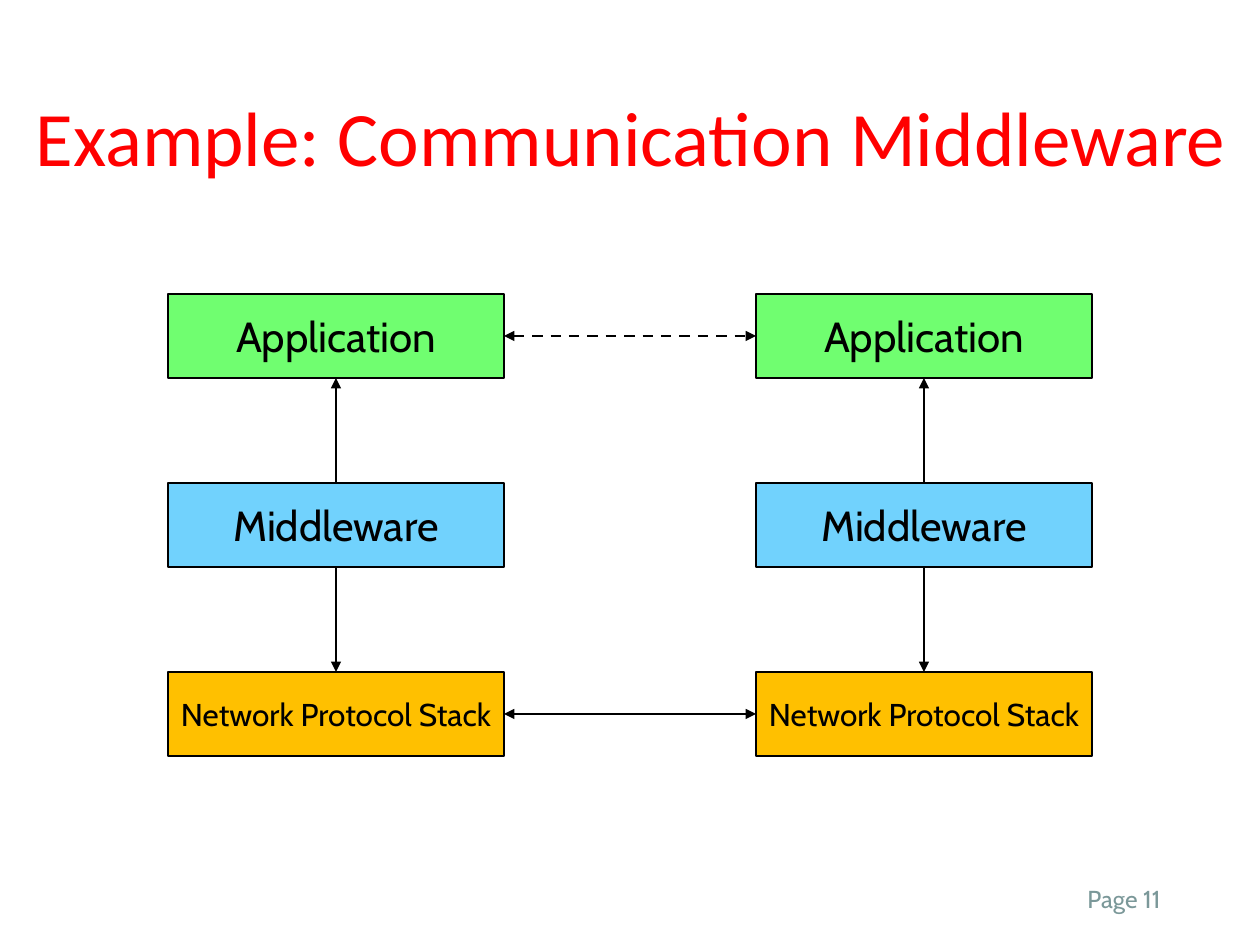
import pptx
import pptx.util
import pptx.dml.color
import pptx.enum.dml
import pptx.enum.shapes
import pptx.enum.text
import pptx.oxml.ns
from dataclasses import dataclass
from lxml import etree

PX_PER_INCH = 126
TOP, LEFT, BOTTOM, RIGHT = range(4)  # connection sites of a rectangle


@dataclass(frozen=True)
class Theme:
    title_font: str = "Calibri"
    body_font: str = "Cabin"
    title_color: str = "FF0000"
    page_color: str = "7B9899"
    ink: str = "000000"
    application: str = "70FE70"
    middleware: str = "71D2FD"
    network: str = "FFC000"
    title_size: int = 44
    label_size: int = 24
    small_label_size: int = 18
    page_size: int = 14
    thin: float = 0.75
    thick: float = 1.5


THEME = Theme()

# Box grid
COLUMNS = (168, 756)
FIRST_ROW, ROW_STEP = 294, 189
BOX_W, BOX_H = 336, 84


def px(n):
    return round(n * pptx.util.Inches(1) / PX_PER_INCH)


def rgb(value):
    return pptx.dml.color.RGBColor.from_string(value)


def place(shape, left, top, width, height):
    shape.left, shape.top = px(left), px(top)
    shape.width, shape.height = px(width), px(height)


def write(shape, text, font, size, color, align, wrap=True, spacing=None):
    tf = shape.text_frame
    tf.word_wrap = wrap
    tf.auto_size = pptx.enum.text.MSO_AUTO_SIZE.NONE
    tf.vertical_anchor = pptx.enum.text.MSO_ANCHOR.MIDDLE
    p = tf.paragraphs[0]
    p.text = text
    p.alignment = align
    p.line_spacing = spacing
    p.font.name, p.font.size = font, pptx.util.Pt(size)
    p.font.color.rgb = rgb(color)


def add_title(s, text):
    title = s.shapes.title
    place(title, 23, 50, 1217, 183)
    write(title, text, THEME.title_font, THEME.title_size, THEME.title_color,
          pptx.enum.text.PP_ALIGN.LEFT, spacing=0.9)


def add_page_label(s, text):
    box = s.shapes.add_textbox(px(890), px(876), px(283), px(50))
    write(box, text, THEME.body_font, THEME.page_size, THEME.page_color,
          pptx.enum.text.PP_ALIGN.RIGHT, spacing=0.8)


def add_layer(s, row, text, fill, size):
    """Add one box per column and return them from left to right."""
    boxes = []
    for left in COLUMNS:
        sp = s.shapes.add_shape(
            pptx.enum.shapes.MSO_SHAPE.RECTANGLE, px(left),
            px(FIRST_ROW + row * ROW_STEP), px(BOX_W), px(BOX_H))
        sp.shadow.inherit = False
        sp.fill.solid()
        sp.fill.fore_color.rgb = rgb(fill)
        sp.line.color.rgb = rgb(THEME.ink)
        sp.line.width = pptx.util.Pt(THEME.thin)
        write(sp, text, THEME.body_font, size, THEME.ink,
              pptx.enum.text.PP_ALIGN.CENTER, wrap=False)
        boxes.append(sp)
    return boxes


def add_arrow(s, start, start_site, end, end_site, width=THEME.thin, dash=None):
    """Join two boxes with a double-headed arrow."""
    line = s.shapes.add_connector(
        pptx.enum.shapes.MSO_CONNECTOR.STRAIGHT, 0, 0, 0, 0)
    line.begin_connect(start, start_site)
    line.end_connect(end, end_site)
    line.line.color.rgb = rgb(THEME.ink)
    line.line.width = pptx.util.Pt(width)
    if dash:
        line.line.dash_style = dash
    ln = line.line._get_or_add_ln()
    for end_tag in ("a:headEnd", "a:tailEnd"):
        etree.SubElement(ln, pptx.oxml.ns.qn(end_tag), type="triangle")
    etree.SubElement(line._element.spPr, pptx.oxml.ns.qn("a:effectLst"))


def main():
    prs = pptx.Presentation()
    prs.slide_width, prs.slide_height = px(1260), px(945)
    s = prs.slides.add_slide(prs.slide_layouts.get_by_name("Title Only"))

    add_title(s, "Example: Communication Middleware")
    add_page_label(s, "Page 11")

    # Outer layers
    apps = add_layer(s, 0, "Application", THEME.application, THEME.label_size)
    stacks = add_layer(s, 2, "Network Protocol Stack", THEME.network,
                       THEME.small_label_size)

    # Arrows within each column, then between the columns
    for app, stack in zip(apps, stacks):
        add_arrow(s, app, BOTTOM, stack, TOP)
    add_arrow(s, stacks[0], RIGHT, stacks[1], LEFT)
    add_arrow(s, apps[0], RIGHT, apps[1], LEFT, THEME.thick,
              pptx.enum.dml.MSO_LINE.DASH)

    # The middle layer covers the vertical arrows
    add_layer(s, 1, "Middleware", THEME.middleware, THEME.label_size)

    prs.save("out.pptx")


if __name__ == "__main__":
    main()
